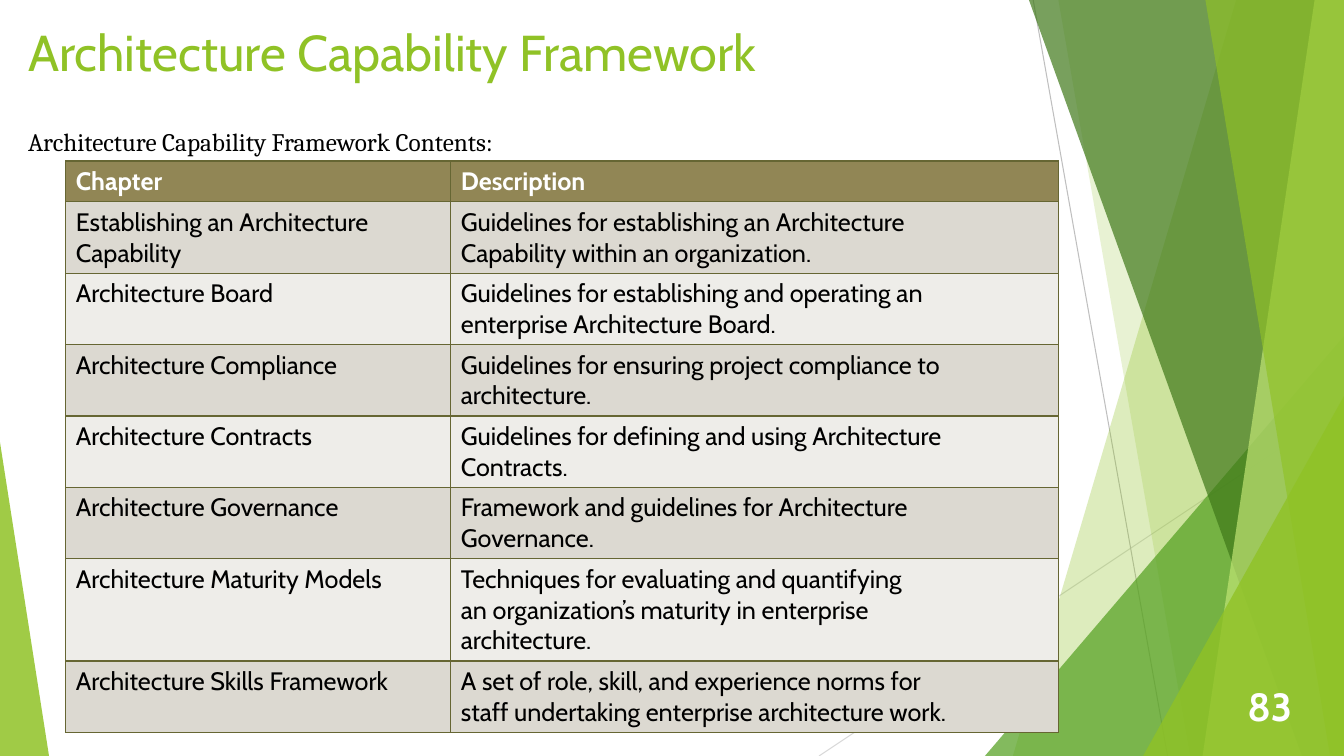
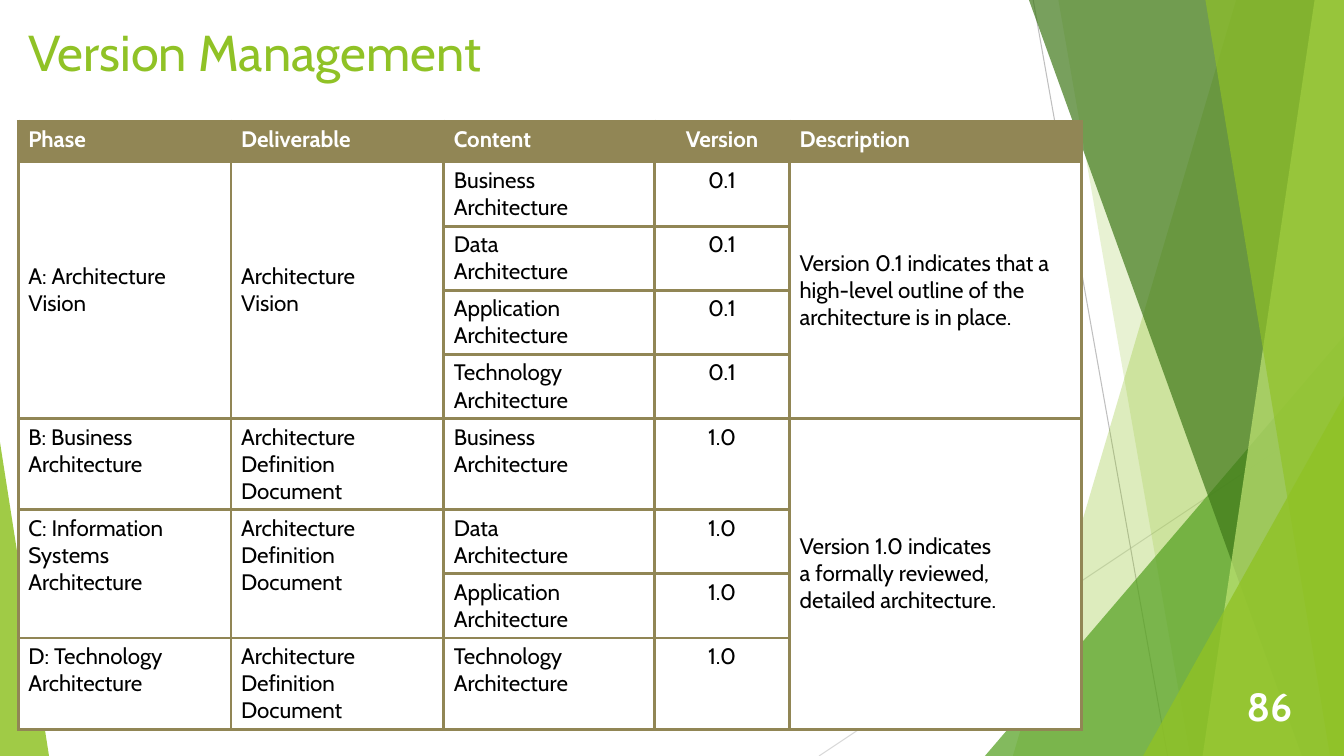
from lxml import etree
from pptx import Presentation
from pptx.dml.color import RGBColor
from pptx.enum.shapes import MSO_CONNECTOR
from pptx.enum.text import MSO_ANCHOR, PP_ALIGN
from pptx.oxml import parse_xml
from pptx.oxml.ns import nsdecls, qn
from pptx.util import Pt

STRAIGHT = MSO_CONNECTOR.STRAIGHT
TOP, MIDDLE = MSO_ANCHOR.TOP, MSO_ANCHOR.MIDDLE
LEFT, CENTER, RIGHT = PP_ALIGN.LEFT, PP_ALIGN.CENTER, PP_ALIGN.RIGHT

WIDTH, HEIGHT = 960, 540
GREEN, OLIVE, DARK_OLIVE = "90C226", "918655", "666633"
BLACK, WHITE = "000000", "FFFFFF"
BANDS = ["DCD9D1", "EEEDE9"]

# start, end, colour
RAYS = [
    ((585, 540), (960, 290), "D9D9D9"),
    ((738, 0), (834, 540), "BFBFBF"),
]
# corners, colour, opacity in percent
SHARDS = [
    ([(883, 0), (723.5, 540), (960, 540), (960, 0)], GREEN, 30),
    ([(756, 0), (850, 540), (960, 540), (960, 0)], GREEN, 20),
    ([(703.5, 540), (960, 240), (960, 540)], "54A021", 72),
    ([(735, 0), (930, 540), (960, 540), (960, 0)], "3F7819", 70),
    ([(939, 0), (859, 540), (960, 540), (960, 0)], "C0E474", 70),
    ([(861, 0), (950, 540), (960, 540), (960, 0)], GREEN, 65),
    ([(816.5, 540), (960, 283), (960, 540)], GREEN, 80),
    ([(0, 316), (35, 540), (0, 540)], GREEN, 85),
]

CHAPTERS = [
    ["Chapter", "Description"],
    ["Establishing an Architecture\nCapability",
     "Guidelines for establishing an Architecture\nCapability within an organization."],
    ["Architecture Board",
     "Guidelines for establishing and operating an\nenterprise Architecture Board."],
    ["Architecture Compliance",
     "Guidelines for ensuring project compliance to architecture."],
    ["Architecture Contracts",
     "Guidelines for defining and using Architecture\nContracts."],
    ["Architecture Governance",
     "Framework and guidelines for Architecture\nGovernance."],
    ["Architecture Maturity Models",
     "Techniques for evaluating and quantifying\n"
     "an organization’s maturity in enterprise\narchitecture."],
    ["Architecture Skills Framework",
     "A set of role, skill, and experience norms for\n"
     "staff undertaking enterprise architecture work."],
]

DEFINITION = "Architecture\nDefinition\nDocument"
# None continues the cell above
VERSIONS = [
    ["Phase", "Deliverable", "Content", "Version", "Description"],
    ["A: Architecture\nVision", "Architecture\nVision", "Business\nArchitecture", "0.1",
     "Version 0.1 indicates that a high-level outline of the\narchitecture is in place."],
    [None, None, "Data\nArchitecture", "0.1", None],
    [None, None, "Application\nArchitecture", "0.1", None],
    [None, None, "Technology\nArchitecture", "0.1", None],
    ["B: Business\nArchitecture", DEFINITION, "Business\nArchitecture", "1.0",
     "Version 1.0 indicates\na formally reviewed,\ndetailed architecture."],
    ["C: Information\nSystems\nArchitecture", DEFINITION, "Data\nArchitecture", "1.0", None],
    [None, None, "Application\nArchitecture", "1.0", None],
    ["D: Technology\nArchitecture", DEFINITION, "Technology\nArchitecture", "1.0", None],
]


def color(value):
    return RGBColor.from_string(value)


def write(frame, text, size=18, font="Cabin", ink=BLACK, bold=False, align=LEFT):
    """Fill a text frame, one paragraph for each line of text."""
    for index, line in enumerate(text.split("\n")):
        para = frame.add_paragraph() if index else frame.paragraphs[0]
        para.alignment = align
        span = para.add_run()
        span.text = line
        span.font.name = font
        span.font.size = Pt(size)
        span.font.bold = bold
        span.font.color.rgb = color(ink)


def set_borders(cell, ink, width):
    properties = cell._tc.get_or_add_tcPr()
    for index, side in enumerate(("lnL", "lnR", "lnT", "lnB")):
        properties.insert(index, parse_xml(
            f'<a:{side} {nsdecls("a")} w="{Pt(width)}"><a:solidFill>'
            f'<a:srgbClr val="{ink}"/></a:solidFill></a:{side}>'))


def count_rows(rows, row, column):
    """Number of rows that a cell covers."""
    end = row + 1
    while end < len(rows) and rows[end][column] is None:
        end += 1
    return end - row


class Slides:
    def __init__(self):
        self.deck = Presentation()
        self.deck.slide_width, self.deck.slide_height = Pt(WIDTH), Pt(HEIGHT)

    def start(self, title, number):
        self.page = self.deck.slides.add_slide(self.deck.slide_layouts[6])
        for ray in RAYS:
            self.ray(*ray)
        for shard in SHARDS:
            self.shard(*shard)
        self.text(title, 13, 11.5, 677, 60, size=36, ink=GREEN)
        self.text(number, 876, 490, 54, 29, anchor=MIDDLE,
                  size=28, ink=WHITE, bold=True, align=RIGHT)

    def ray(self, start, end, ink):
        line = self.page.shapes.add_connector(
            STRAIGHT, *(Pt(value) for value in start + end))
        line.line.color.rgb = color(ink)
        line.line.width = Pt(0.75)
        etree.SubElement(line._element.spPr, qn("a:effectLst"))

    def shard(self, corners, fill, opacity):
        points = [(Pt(x), Pt(y)) for x, y in corners]
        builder = self.page.shapes.build_freeform(*points[0])
        builder.add_line_segments(points[1:], close=True)
        shape = builder.convert_to_shape()
        shape.shadow.inherit = False
        shape.line.fill.background()
        shape.fill.solid()
        shape.fill.fore_color.rgb = color(fill)
        tint = shape._element.spPr.find(qn("a:solidFill"))[0]
        etree.SubElement(tint, qn("a:alpha"), val=str(opacity * 1000))

    def text(self, text, left, top, width, height, anchor=TOP, **style):
        box = self.page.shapes.add_textbox(Pt(left), Pt(top), Pt(width), Pt(height))
        box.text_frame.word_wrap = True
        box.text_frame.vertical_anchor = anchor
        write(box.text_frame, text, **style)

    def table(self, rows, left, top, widths, heights, size, border, bands, centered=()):
        """Add a table; border is (colour, width), centered lists column numbers."""
        table = self.page.shapes.add_table(
            len(rows), len(widths), Pt(left), Pt(top),
            Pt(sum(widths)), Pt(sum(heights))).table
        table.horz_banding = False
        for column, width in zip(table.columns, widths):
            column.width = Pt(width)
        for row, height in zip(table.rows, heights):
            row.height = Pt(height)
        for r, values in enumerate(rows):
            for c, value in enumerate(values):
                cell = table.cell(r, c)
                cell.fill.solid()
                cell.fill.fore_color.rgb = color(bands[(r - 1) % len(bands)] if r else OLIVE)
                set_borders(cell, *border)
                if value is None:
                    continue
                covered = count_rows(rows, r, c)
                if covered > 1:
                    cell.merge(table.cell(r + covered - 1, c))
                cell.vertical_anchor = MIDDLE if covered > 2 else TOP
                write(cell.text_frame, value, size=size, bold=r == 0,
                      ink=BLACK if r else WHITE,
                      align=CENTER if c in centered else LEFT)


def main():
    slides = Slides()

    slides.start("Architecture Capability Framework", "83")
    slides.table(CHAPTERS, 47, 115, [275, 434], [29.2] + [51] * 5 + [73, 51],
                 size=18, border=(DARK_OLIVE, 1), bands=BANDS)
    slides.text("Architecture Capability Framework Contents:", 13, 86.4, 375, 29,
                font="Cambria")

    slides.start("Version Management", "86")
    slides.table(VERSIONS, 13, 86.4, [152, 152, 150.5, 96.5, 208.5],
                 [29.4] + [45.8] * 4 + [65.2, 45.8, 45.8, 65.2],
                 size=16, border=(OLIVE, 2.25), bands=[WHITE], centered=[3])

    slides.deck.save("out.pptx")


if __name__ == "__main__":
    main()
